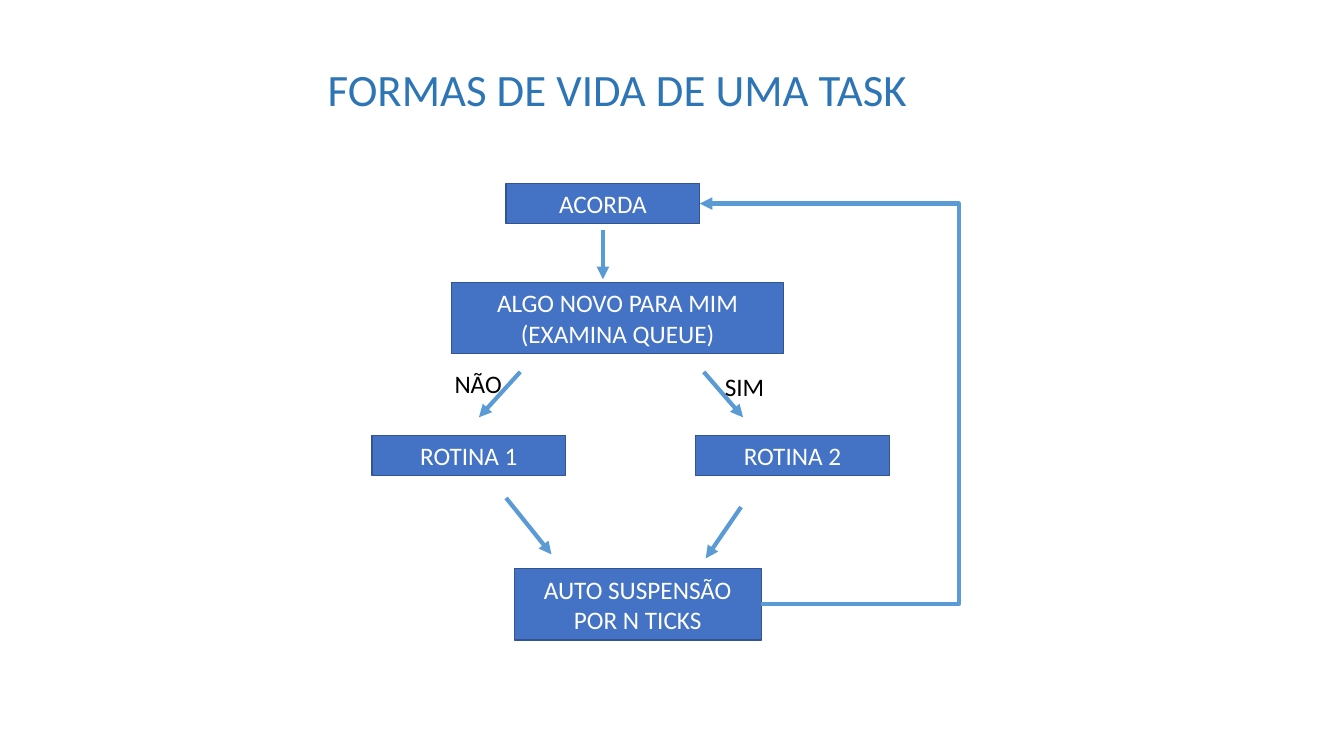
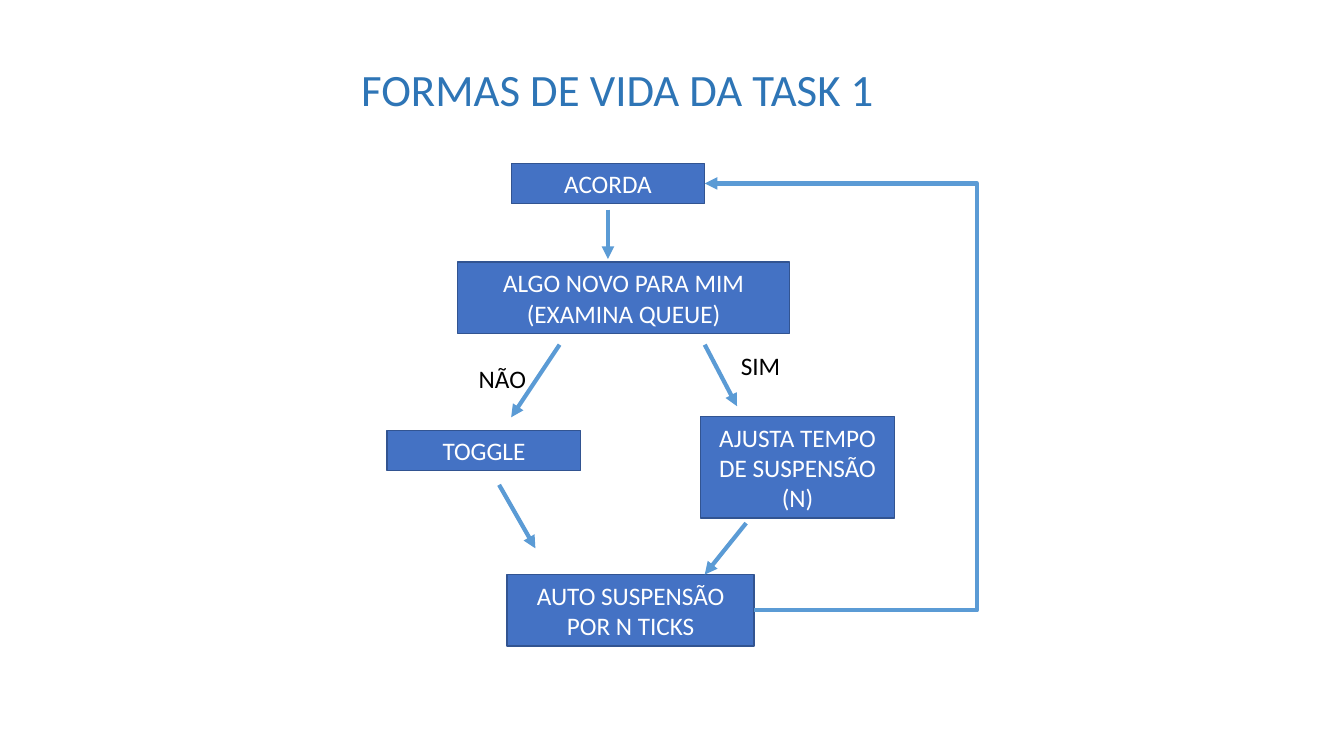
from lxml import etree
from pptx import Presentation
from pptx.dml.color import RGBColor
from pptx.enum.shapes import MSO_CONNECTOR, MSO_SHAPE
from pptx.enum.text import MSO_AUTO_SIZE, PP_ALIGN
from pptx.oxml.ns import qn
from pptx.util import Inches, Pt

RECTANGLE = MSO_SHAPE.RECTANGLE
STRAIGHT = MSO_CONNECTOR.STRAIGHT
ELBOW = MSO_CONNECTOR.ELBOW
CENTER = PP_ALIGN.CENTER
LEFT = PP_ALIGN.LEFT
FIT_TEXT = MSO_AUTO_SIZE.SHAPE_TO_FIT_TEXT

TITLE_BLUE = RGBColor(0x2E, 0x75, 0xB6)
BOX_BLUE = RGBColor(0x44, 0x72, 0xC4)
BORDER_BLUE = RGBColor(0x32, 0x54, 0x91)
ARROW_BLUE = RGBColor(0x5B, 0x9B, 0xD5)
WHITE = RGBColor(0xFF, 0xFF, 0xFF)
BLACK = RGBColor(0x00, 0x00, 0x00)

TITLE_FONT = {"name": "Calibri", "size": Pt(32), "color": TITLE_BLUE}
BOX_FONT = {"name": "Calibri", "size": Pt(18), "color": WHITE}
LABEL_FONT = {"name": "Calibri", "size": Pt(18), "color": BLACK}

TITLE_PLACE = (1.52, 0.56, 9.21, 0.64)
STEP_SIZE = (1.92, 0.4)
TALL_STEP_SIZE = (1.92, 1.01)
QUESTION_SIZE = (3.29, 0.71)
SUSPEND_SIZE = (2.45, 0.71)
YES_SIZE = (0.76, 0.4)
NO_SIZE = (0.7, 0.4)
RIGHT_SITE = 3

FLOWS = [
    {
        "title": "FORMAS DE VIDA DE UMA TASK",
        "wake": (5.02, 1.82),
        "question": (4.48, 2.8),
        "suspend": (5.1, 5.64),
        "branches": [
            ("ROTINA 1", (3.69, 4.32), STEP_SIZE),
            ("ROTINA 2", (6.9, 4.32), STEP_SIZE),
        ],
        "no": (4.41, 3.61),
        "yes": (7.09, 3.63),
        "arrows": [
            (5.16, 3.69, 4.75, 4.14),
            (6.98, 3.69, 7.37, 4.14),
            (5.02, 4.94, 5.47, 5.5),
            (7.35, 5.03, 7, 5.54),
        ],
        "return_lane": 9.51,
    },
    {
        "title": "FORMAS DE VIDA DA TASK 1",
        "wake": (5.07, 1.62),
        "question": (4.54, 2.6),
        "suspend": (5.03, 5.7),
        "branches": [
            ("TOGGLE", (3.84, 4.27), STEP_SIZE),
            ("AJUSTA TEMPO DE SUSPENSÃO (N)", (6.95, 4.13), TALL_STEP_SIZE),
        ],
        "no": (4.65, 3.56),
        "yes": (7.25, 3.43),
        "arrows": [
            (5.55, 3.42, 5.07, 4.14),
            (6.99, 3.42, 7.31, 4.03),
            (4.95, 4.81, 5.31, 5.44),
            (7.4, 5.19, 6.99, 5.7),
        ],
        "return_lane": 9.69,
    },
]


def inches(values):
    return [Inches(value) for value in values]


def write_text(shape, text, font_format, alignment):
    frame = shape.text_frame
    frame.word_wrap = True
    frame.auto_size = FIT_TEXT
    paragraph = frame.paragraphs[0]
    paragraph.alignment = alignment
    run = paragraph.add_run()
    run.text = text
    for name, value in font_format.items():
        if name == "color":
            run.font.color.rgb = value
        else:
            setattr(run.font, name, value)


def add_text(slide, text, place, font_format, alignment=LEFT):
    shape = slide.shapes.add_textbox(*inches(place))
    write_text(shape, text, font_format, alignment)


def add_box(slide, text, position, size):
    shape = slide.shapes.add_shape(RECTANGLE, *inches(position + size))
    shape.shadow.inherit = False
    shape.fill.solid()
    shape.fill.fore_color.rgb = BOX_BLUE
    shape.line.color.rgb = BORDER_BLUE
    shape.line.width = Pt(1)
    write_text(shape, text, BOX_FONT, CENTER)
    return shape


def style_arrow(connector):
    connector.line.color.rgb = ARROW_BLUE
    connector.line.width = Pt(3)
    line = connector.line._get_or_add_ln()
    etree.SubElement(line, qn("a:tailEnd"), type="triangle")
    etree.SubElement(connector._element.spPr, qn("a:effectLst"))


def add_arrow(slide, ends):
    style_arrow(slide.shapes.add_connector(STRAIGHT, *inches(ends)))


def add_return_arrow(slide, source, target, lane):
    connector = slide.shapes.add_connector(ELBOW, 0, 0, 0, 0)
    connector.begin_connect(source, RIGHT_SITE)
    connector.end_connect(target, RIGHT_SITE)
    bend = (Inches(lane) - connector.begin_x) / (connector.end_x - connector.begin_x)
    geometry = connector._element.spPr.find(qn("a:prstGeom"))
    adjustments = geometry.find(qn("a:avLst"))
    etree.SubElement(
        adjustments, qn("a:gd"), name="adj1", fmla=f"val {round(bend * 100000)}"
    )
    style_arrow(connector)


def add_flow_slide(presentation, flow):
    slide = presentation.slides.add_slide(presentation.slide_layouts[6])
    add_text(slide, flow["title"], TITLE_PLACE, TITLE_FONT, CENTER)
    wake = add_box(slide, "ACORDA", flow["wake"], STEP_SIZE)
    add_box(slide, "ALGO NOVO PARA MIM (EXAMINA QUEUE)", flow["question"], QUESTION_SIZE)
    suspend = add_box(
        slide, "AUTO SUSPENSÃO POR N TICKS", flow["suspend"], SUSPEND_SIZE
    )
    for text, position, size in flow["branches"]:
        add_box(slide, text, position, size)

    wake_left, wake_top = flow["wake"]
    wake_center = wake_left + STEP_SIZE[0] / 2
    wake_arrow = (wake_center, wake_top + 0.46, wake_center, wake_top + 0.95)
    for ends in [wake_arrow, *flow["arrows"]]:
        add_arrow(slide, ends)
    add_text(slide, "NÃO", flow["no"] + NO_SIZE, LABEL_FONT)
    add_text(slide, "SIM", flow["yes"] + YES_SIZE, LABEL_FONT)
    add_return_arrow(slide, suspend, wake, flow["return_lane"])


def main():
    presentation = Presentation()
    presentation.slide_width = Inches(13.33)
    presentation.slide_height = Inches(7.5)
    for flow in FLOWS:
        add_flow_slide(presentation, flow)
    presentation.save("out.pptx")


if __name__ == "__main__":
    main()
